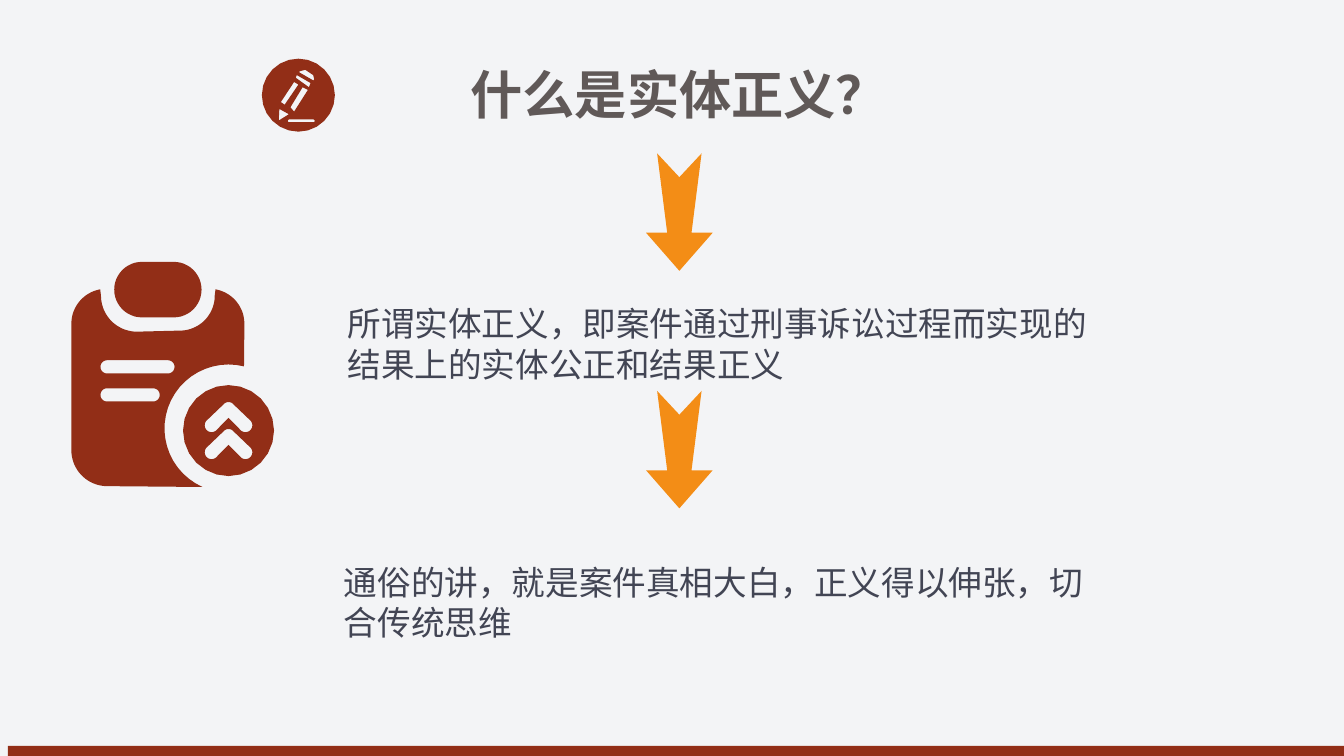
import math
import pptx
import pptx.util
import pptx.dml.color
import pptx.enum.shapes
import pptx.enum.text
import pptx.oxml.ns

Cm = pptx.util.Cm
RGB = pptx.dml.color.RGBColor
RUST = RGB(0x92, 0x2E, 0x17)
GOLD = RGB(0xF3, 0x8D, 0x16)
BROWN = RGB(0x60, 0x59, 0x58)
SLATE = RGB(0x42, 0x45, 0x54)
PALE = RGB(0xF3, 0xF4, 0xF6)

WIDE, HIGH = 25.4, 14.29
TITLE = ("什么是实体正义？", (8.64, 1.04, 13.06, 1.45))
NOTES = [
    ("所谓实体正义，即案件通过刑事诉讼过程而实现的结果上的实体公正和结果正义",
     (6.32, 5.61, 14.5, 1.8)),
    ("通俗的讲，就是案件真相大白，正义得以伸张，切合传统思维",
     (6.25, 10.49, 14.63, 1.8)),
]
ARROW_X, ARROW_TOPS = 12.84, (2.9, 7.39)
ARROW = [(0.63, 1.5), (0, 2.22), (-0.63, 1.5), (-0.23, 1.5),
         (-0.42, 0), (0, 0.45), (0.42, 0), (0.23, 1.5)]
PENCIL = [
    [(5.49, 2.03), (5.72, 1.65), (5.82, 1.7), (5.56, 2.11)],
    [(5.31, 1.93), (5.56, 1.55), (5.64, 1.6), (5.38, 1.98)],
    [(5.27, 2.28), (5.28, 2.06), (5.46, 2.16)],
    [(5.61, 1.42), (5.59, 1.47), (5.84, 1.65), (5.87, 1.57)],
    [(5.66, 1.35), (5.77, 1.32), (5.92, 1.42), (5.94, 1.5), (5.92, 1.52), (5.66, 1.37)],
]
BOARD = [(3.4, 5.59, 0.66, 0, 90), (2.59, 5.59, 0.68, 90, 180),
         (2.01, 6.12, 0.66, 260, 180), (2.03, 8.51, 0.68, 180, 90),
         (4.32, 8.1, 1.21, 114, 284), (3.96, 6.12, 0.66, 0, -80)]
CLIP = (2.16, 4.95, 1.65, 1.05)
LINES = [(1.9, 6.81, 1.4, 0.25), (1.9, 7.34, 1.12, 0.25)]
BADGE_X, BADGE_Y = 4.32, 8.14
CHEVRON_TOPS = (7.6, 8.11)


def arc(x, y, r, start, end):
    turns = [math.radians(start + (end - start) * i / 24) for i in range(25)]
    return [(x + r * math.cos(t), y + r * math.sin(t)) for t in turns]


def pill(x, y, w, h):
    r = h / 2
    return arc(x + r, y + r, r, 90, 270) + arc(x + w - r, y + r, r, -90, 90)


def chevron(x, y):
    return (arc(x, y + 0.12, 0.12, 225, 315) + arc(x + 0.32, y + 0.44, 0.13, -45, 135)
            + [(x, y + 0.3)] + arc(x - 0.32, y + 0.44, 0.13, 45, 225))


def paint(shape, color):
    shape.shadow.inherit = False
    shape.fill.solid()
    shape.fill.fore_color.rgb = color
    shape.line.fill.background()


def draw(slide, rings, color):
    rings = [[(Cm(x), Cm(y)) for x, y in ring] for ring in rings]
    pen = slide.shapes.build_freeform(*rings[0][0], scale=1.0)
    for i, ring in enumerate(rings):
        if i:
            pen.move_to(*ring[0])
        pen.add_line_segments(ring[1:], close=True)
    paint(pen.convert_to_shape(), color)


def write(shape, text, box, size, font, color, bold=False):
    shape.left, shape.top, shape.width, shape.height = map(Cm, box)
    frame = shape.text_frame
    frame.word_wrap = True
    frame.auto_size = pptx.enum.text.MSO_AUTO_SIZE.NONE
    frame.vertical_anchor = pptx.enum.text.MSO_ANCHOR.TOP
    para = frame.paragraphs[0]
    para.alignment = pptx.enum.text.PP_ALIGN.LEFT
    run = para.add_run()
    run.text = text
    run.font.size = pptx.util.Pt(size)
    run.font.name = font
    run.font.bold = bold
    run.font.color.rgb = color
    east = run.font._element.makeelement(pptx.oxml.ns.qn("a:ea"), {"typeface": font})
    run.font._element.append(east)


def main():
    deck = pptx.Presentation()
    deck.slide_width, deck.slide_height = Cm(WIDE), Cm(HIGH)
    slide = deck.slides.add_slide(deck.slide_layouts[5])
    slide.background.fill.solid()
    slide.background.fill.fore_color.rgb = PALE

    bar = slide.shapes.add_shape(pptx.enum.shapes.MSO_SHAPE.RECTANGLE,
                                 Cm(0.15), Cm(14.1), Cm(WIDE - 0.15), Cm(HIGH - 14.1))
    paint(bar, RUST)
    write(slide.shapes.title, *TITLE, size=28, font="Noto Sans CJK SC",
          color=BROWN, bold=True)

    disc = arc(5.64, 1.8, 0.69, 0, 360)
    draw(slide, [disc, pill(5.44, 2.26, 0.51, 0.05)] + PENCIL, RUST)
    board = [spot for bend in BOARD for spot in arc(*bend)]
    draw(slide, [board, pill(*CLIP)] + [pill(*line) for line in LINES], RUST)
    badge = arc(BADGE_X, BADGE_Y, 0.86, 0, 360)
    draw(slide, [badge] + [chevron(BADGE_X, top) for top in CHEVRON_TOPS], RUST)

    for top in ARROW_TOPS:
        draw(slide, [[(ARROW_X + x, top + y) for x, y in ARROW]], GOLD)
    for text, box in NOTES:
        note = slide.shapes.add_textbox(0, 0, 0, 0)
        write(note, text, box, size=18, font="Arial", color=SLATE)
    deck.save("out.pptx")


if __name__ == "__main__":
    main()
